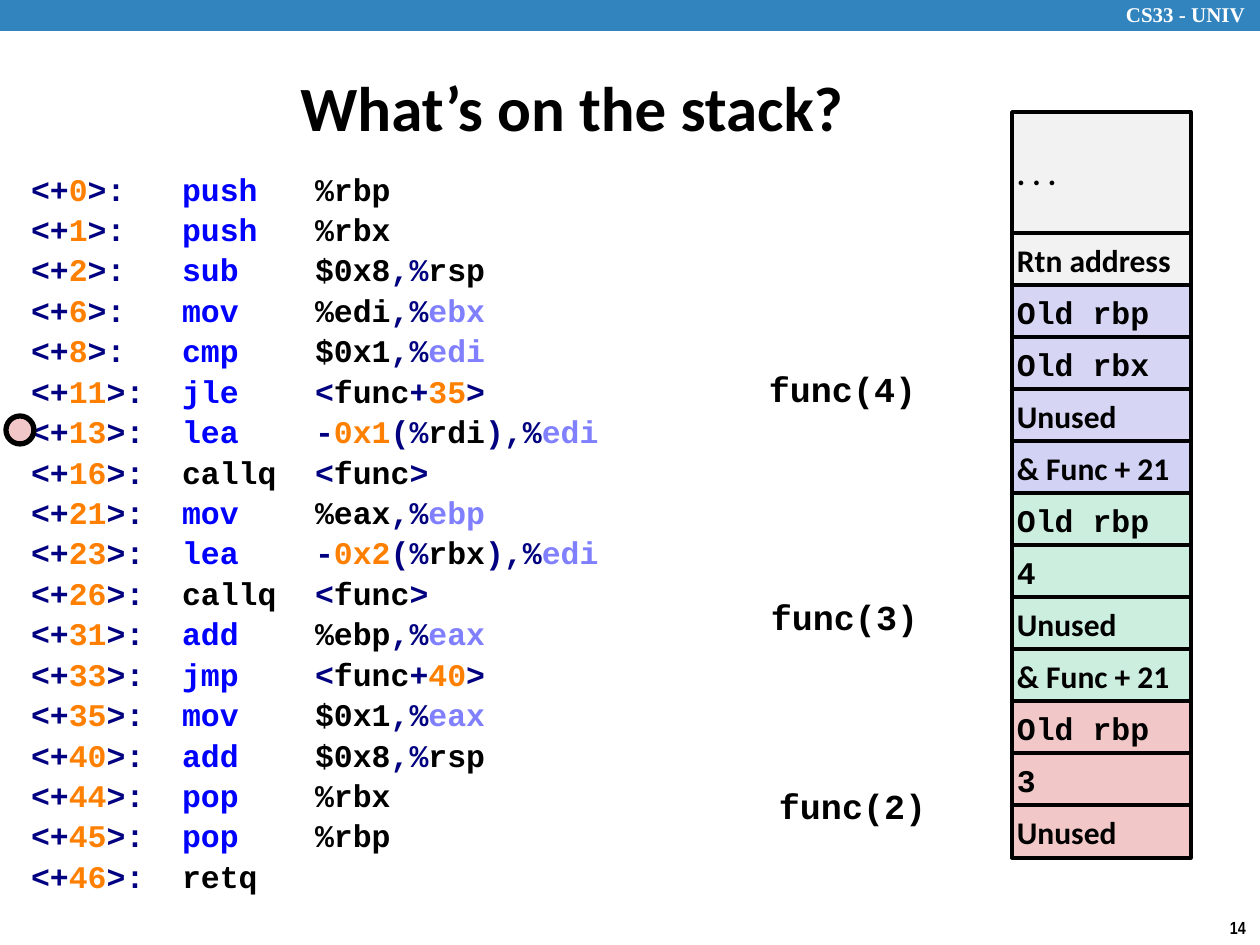
from itertools import groupby

from lxml import etree
from pptx import Presentation
from pptx.dml.color import RGBColor
from pptx.enum.shapes import MSO_SHAPE as Shape
from pptx.enum.text import MSO_ANCHOR as Anchor, PP_ALIGN as Align
from pptx.oxml.ns import qn
from pptx.util import Emu, Pt

# Content
COURSE, TITLE, PAGE = "CS33 - UNIV", "What’s on the stack?", "14"
LISTING = [
    (0, "push", "%rbp"), (1, "push", "%rbx"), (2, "sub", "$0x8,%rsp"),
    (6, "mov", "%edi,%ebx"), (8, "cmp", "$0x1,%edi"), (11, "jle", "<func+35>"),
    (13, "lea", "-0x1(%rdi),%edi"), (16, "callq", "<func>"),
    (21, "mov", "%eax,%ebp"), (23, "lea", "-0x2(%rbx),%edi"),
    (26, "callq", "<func>"), (31, "add", "%ebp,%eax"), (33, "jmp", "<func+40>"),
    (35, "mov", "$0x1,%eax"), (40, "add", "$0x8,%rsp"), (44, "pop", "%rbx"),
    (45, "pop", "%rbp"), (46, "retq", ""),
]
PLAIN_OPS = {"callq", "retq"}
CODE_CELLS = {"Old rbp", "Old rbx", "4", "3"}
STACK = [
    ("caller", ["Rtn address"]),
    ("func4", ["Old rbp", "Old rbx", "Unused"]),
    ("func4_call", ["& Func + 21"]),
    ("func3", ["Old rbp", "4", "Unused", "& Func + 21"]),
    ("func2", ["Old rbp", "3", "Unused"]),
]
CALLS = [("func(4)", 764, 362), ("func(3)", 766, 590), ("func(2)", 774, 779)]

THEME = {
    "color": {
        "bar": "3284BF", "white": "FFFFFF", "ink": "000000",
        "punctuation": "000080", "number": "FF8000", "mnemonic": "0000FF",
        "register": "8080FF", "caller": "F2F2F2", "func4": "D6D6F4",
        "func4_call": "D2D2F4", "func3": "CCEEDF", "func2": "F1C7C7",
    },
    "font": {"body": "Calibri", "code": "Courier New",
             "header": "Times New Roman", "page": "Arial Narrow"},
    "size": {"title": 36, "call": 20, "body": 18, "header": 12, "page": 10},
}

# Layout in pixels
PX = 914400 // 126
SLIDE_W, SLIDE_H = 1260, 945
STACK_X, STACK_W, STACK_TOP = 1012, 179, 112
FIRST_CELL, PITCH, CELL_H = 233, 52, 53
CODE_TABS = (151, 284)
PAD, TIGHT = (13, 6, 13, 6), (5, 5, 5, 5)


def px(*lengths):
    return [Emu(round(length * PX)) for length in lengths]


def color(name):
    return RGBColor.from_string(THEME["color"][name])


def style(run, font="body", size="body", ink="ink"):
    run.font.name = THEME["font"][font]
    run.font.size = Pt(THEME["size"][size])
    run.font.bold = True
    run.font.color.rgb = color(ink)


def set_frame(shape, insets, anchor=Anchor.TOP, wrap=True):
    frame = shape.text_frame
    frame.word_wrap, frame.vertical_anchor = wrap, anchor
    (frame.margin_left, frame.margin_top,
     frame.margin_right, frame.margin_bottom) = px(*insets)
    return frame


def write(shape, text, insets=PAD, anchor=Anchor.TOP, align=Align.LEFT,
          wrap=True, **look):
    frame = set_frame(shape, insets, anchor, wrap)
    frame.text = text
    frame.paragraphs[0].alignment = align
    style(frame.paragraphs[0].runs[0], **look)


def add_box(kind, box, fill, line=None):
    shape = slide.shapes.add_shape(kind, *px(*box))
    shape.shadow.inherit = False
    shape.fill.solid()
    shape.fill.fore_color.rgb = color(fill)
    if line:
        shape.line.color.rgb = color("ink")
        shape.line.width = Pt(line)
    else:
        shape.line.fill.background()
    return shape


def add_text(box, text, **look):
    write(slide.shapes.add_textbox(*px(*box)), text, **look)


def tokens(code):
    """Split code into coloured pieces; a leading register or constant stays plain."""
    if code[:1] in ("%", "$"):
        first, comma, rest = code.partition(",")
        yield first, "ink"
        code = comma + rest
    for is_word, chars in groupby(code, str.isalnum):
        piece = "".join(chars)
        if not is_word:
            yield piece, "punctuation"
        elif piece[0].isdigit():
            yield piece, "number"
        else:
            yield piece, "register" if piece[0] == "e" else "ink"


def instruction(offset, mnemonic, operands):
    yield from tokens(f"<+{offset}>:")
    yield "\t" + mnemonic, "ink" if mnemonic in PLAIN_OPS else "mnemonic"
    if operands:
        (head, ink), *rest = tokens(operands)
        yield "\t" + head, ink
        yield from rest


def set_tabs(paragraph, stops):
    tab_list = etree.SubElement(paragraph._p.get_or_add_pPr(), qn("a:tabLst"))
    for stop in px(*stops):
        etree.SubElement(tab_list, qn("a:tab"), pos=str(stop), algn="l")


prs = Presentation()
prs.slide_width, prs.slide_height = px(SLIDE_W, SLIDE_H)
slide = prs.slides.add_slide(prs.slide_layouts[6])

# Header, page number and title
add_box(Shape.RECTANGLE, (0, 0, SLIDE_W, 31), "bar")
add_text((1113, -4, 156, 38), COURSE, font="header", size="header", ink="white")
add_text((1217, 911, 43, 34), PAGE, wrap=False, font="page", size="page")
add_text((49, 60, 1046, 92), TITLE, anchor=Anchor.MIDDLE, align=Align.CENTER,
         size="title")

# Assembly listing
listing = set_frame(slide.shapes.add_textbox(*px(0, 161, 660, 743)), (31, 6, 13, 6))
for row, line in enumerate(LISTING):
    paragraph = listing.add_paragraph() if row else listing.paragraphs[0]
    paragraph.line_spacing = 1.07
    set_tabs(paragraph, CODE_TABS)
    for piece, ink in instruction(*line):
        run = paragraph.add_run()
        run.text = piece
        style(run, font="code", ink=ink)

# Stack cells, from the caller down
cells = [(". . .", "caller", STACK_TOP, FIRST_CELL - STACK_TOP)]
for fill, texts in STACK:
    for text in texts:
        cells.append((text, fill, FIRST_CELL + PITCH * (len(cells) - 1), CELL_H))
for text, fill, top, height in cells:
    cell = add_box(Shape.RECTANGLE, (STACK_X, top, STACK_W, height), fill, line=2)
    write(cell, text, insets=TIGHT, anchor=Anchor.MIDDLE,
          font="code" if text in CODE_CELLS else "body")

# Call labels beside their frames
for text, left, top in CALLS:
    add_text((left, top, 178, 57), text, insets=TIGHT, font="code", size="call")

# Marker of the current instruction
add_box(Shape.OVAL, (6, 416, 28, 28), "func2", line=3)

prs.save("out.pptx")
